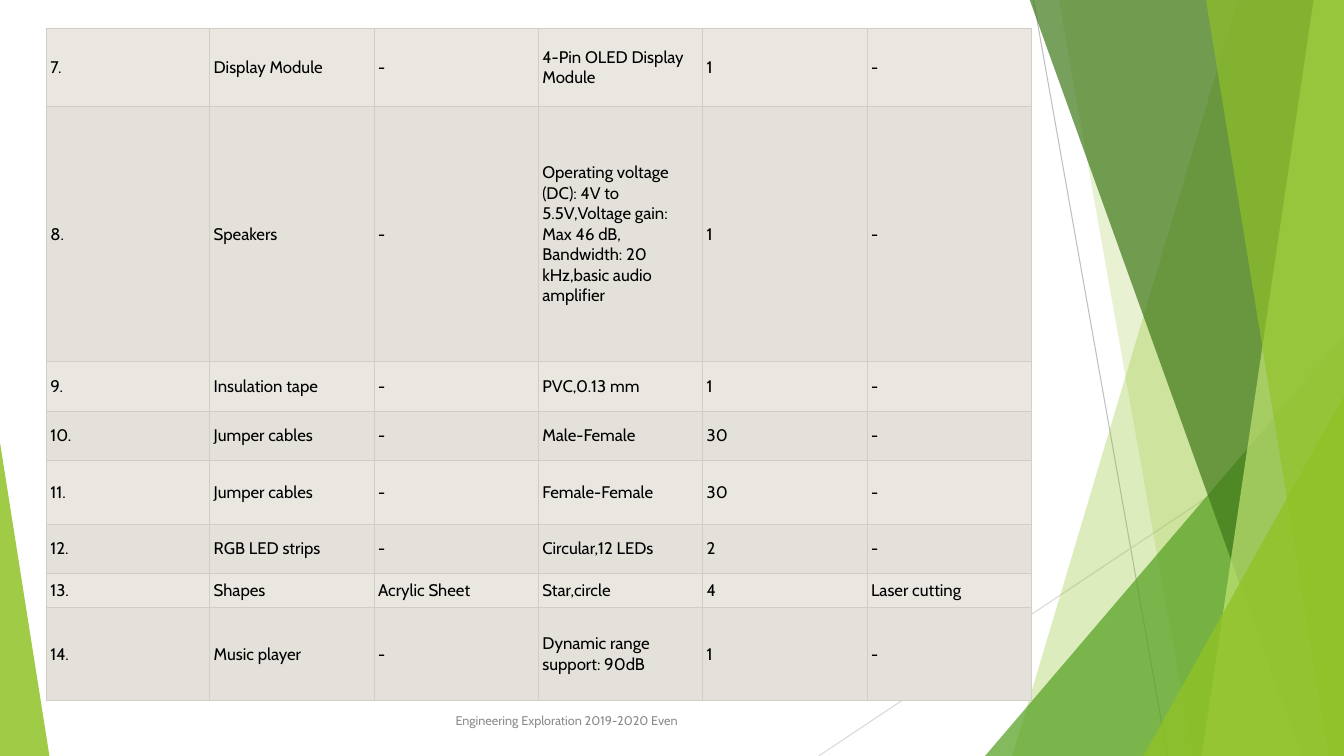
from lxml.etree import SubElement
from pptx import Presentation
from pptx.dml.color import RGBColor
from pptx.enum.shapes import MSO_CONNECTOR as CONNECTOR, MSO_SHAPE as SHAPE
from pptx.enum.text import MSO_ANCHOR as ANCHOR
from pptx.oxml import parse_xml
from pptx.oxml.ns import nsdecls, qn
from pptx.util import Inches, Pt


def rgb(value):
    return RGBColor.from_string(value)


def paint(shape, color, opacity):
    """Fill a shape with a see-through colour, without line or shadow."""
    shape.shadow.inherit = False
    shape.line.fill.background()
    shape.fill.solid()
    shape.fill.fore_color.rgb = rgb(color)
    fill_color = shape.fill._xPr.find(qn("a:solidFill"))[0]
    SubElement(fill_color, qn("a:alpha"), val=str(opacity * 1000))


WIDTH, HEIGHT, TOP = 13.33, 7.5, -0.01
GREEN = "90C226"
BORDER = "D2CEC5"
BANDS = ["EAE7E1", "E4E1DA"]

prs = Presentation()
prs.slide_width, prs.slide_height = Inches(WIDTH), Inches(HEIGHT)
slide = prs.slides.add_slide(prs.slide_layouts[6])
shapes = slide.shapes

# Thin crossing lines
for x1, y1, x2, y2, color in [
    (10.25, 0, 11.58, HEIGHT, "BFBFBF"),
    (WIDTH, 4.03, 8.12, HEIGHT, "D9D9D9"),
]:
    ray = shapes.add_connector(CONNECTOR.STRAIGHT, *map(Inches, (x1, y1, x2, y2)))
    ray.line.color.rgb = rgb(color)
    ray.line.width = Pt(0.75)
    SubElement(ray._element.spPr, qn("a:effectLst"))

# Green facets, back to front: a band runs from its top-left x to its
# bottom-left x and on to the right edge; a triangle has a box and an apex.
facets = [
    ("band", (12.28, 10.04), GREEN, 30),
    ("band", (10.5, 11.83), GREEN, 20),
    ("triangle", (9.77, 3.33, 3.56, 4.17, 1), "54A021", 72),
    ("band", (10.21, 12.91), "3F7819", 70),
    ("band", (13.03, 11.92), "C0E474", 70),
    ("band", (11.96, 13.18), GREEN, 65),
    ("triangle", (11.34, 3.93, 1.99, 3.57, 1), GREEN, 80),
    ("triangle", (0, 4.39, 0.49, 3.11, 0), GREEN, 85),
]
for kind, geometry, color, opacity in facets:
    if kind == "band":
        top_x, bottom_x = geometry
        outline = shapes.build_freeform(Inches(top_x), Inches(TOP))
        corners = [(WIDTH, TOP), (WIDTH, HEIGHT), (bottom_x, HEIGHT)]
        outline.add_line_segments([(Inches(x), Inches(y)) for x, y in corners])
        facet = outline.convert_to_shape()
    else:
        *box, apex = geometry
        facet = shapes.add_shape(SHAPE.ISOSCELES_TRIANGLE, *map(Inches, box))
        facet.adjustments[0] = apex
    paint(facet, color, opacity)

# Parts list
parts = [
    (0.78, "7.", "Display Module", "-", "4-Pin OLED Display Module", "1", "-"),
    (2.53, "8.", "Speakers", "-",
     "Operating voltage (DC): 4V to 5.5V,Voltage gain: Max 46 dB, "
     "Bandwidth: 20 kHz,basic audio amplifier", "1", "-"),
    (0.49, "9.", "Insulation tape", "-", "PVC,0.13 mm", "1", "-"),
    (0.49, "10.", "Jumper cables", "-", "Male-Female", "30", "-"),
    (0.63, "11.", "Jumper cables", "-", "Female-Female", "30", "-"),
    (0.49, "12.", "RGB LED strips", "-", "Circular,12 LEDs", "2", "-"),
    (0.34, "13.", "Shapes", "Acrylic Sheet", "Star,circle", "4", "Laser cutting"),
    (0.92, "14.", "Music player", "-", "Dynamic range support: 90dB", "1", "-"),
]
cell_format = {
    "vertical_anchor": ANCHOR.MIDDLE,
    "margin_left": Inches(0.04),
    "margin_right": Inches(0.04),
    "margin_top": Inches(0.02),
    "margin_bottom": Inches(0.02),
}
cell_font = {"name": "Cabin", "size": Pt(12), "bold": False}

table = shapes.add_table(
    len(parts), 6, Inches(0.46), Inches(0.28), Inches(9.77), Inches(6.67)
).table
table.first_row = False
table.horz_banding = False
for column in table.columns:
    column.width = Inches(1.63)
table.columns[0].width = Inches(1.62)

for r, (height, *entries) in enumerate(parts):
    table.rows[r].height = Inches(height)
    for c, entry in enumerate(entries):
        cell = table.cell(r, c)
        cell.text = entry
        for key, value in cell_format.items():
            setattr(cell, key, value)
        font = cell.text_frame.paragraphs[0].runs[0].font
        for key, value in cell_font.items():
            setattr(font, key, value)
        font.color.rgb = rgb("000000")
        cell.fill.solid()
        cell.fill.fore_color.rgb = rgb(BANDS[r % 2])
        properties = cell._tc.get_or_add_tcPr()
        for i, side in enumerate(["lnL", "lnR", "lnT", "lnB"]):
            properties.insert(i, parse_xml(
                f'<a:{side} {nsdecls("a")} w="{Pt(0.6)}"><a:solidFill>'
                f'<a:srgbClr val="{BORDER}"/></a:solidFill></a:{side}>'
            ))

# Footer
footer = shapes.add_textbox(
    Inches(4.42), Inches(6.95), Inches(4.5), Inches(0.4)
).text_frame
footer.word_wrap = True
footer.vertical_anchor = ANCHOR.MIDDLE
footer.text = "Engineering Exploration 2019-2020 Even"
footer_font = footer.paragraphs[0].runs[0].font
footer_font.name = "Cabin"
footer_font.size = Pt(9)
footer_font.color.rgb = rgb("8C8C8C")

prs.save("out.pptx")
